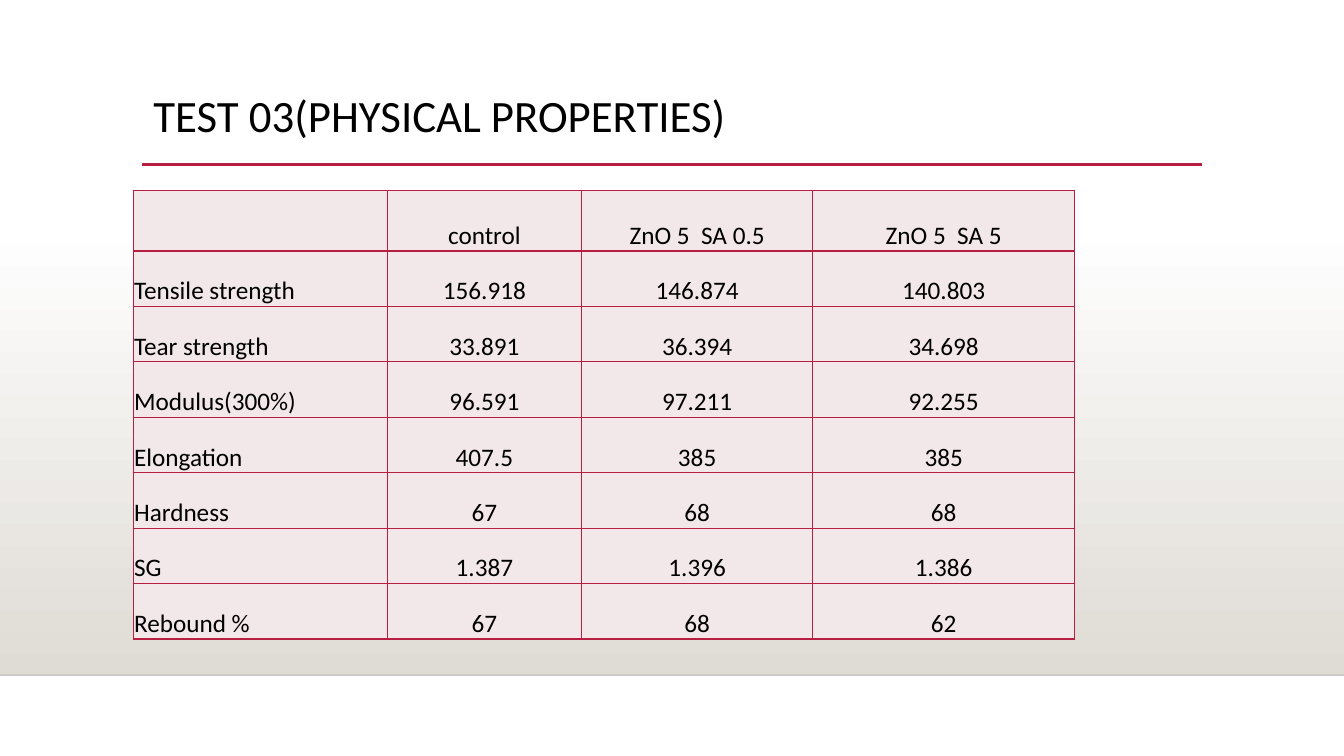
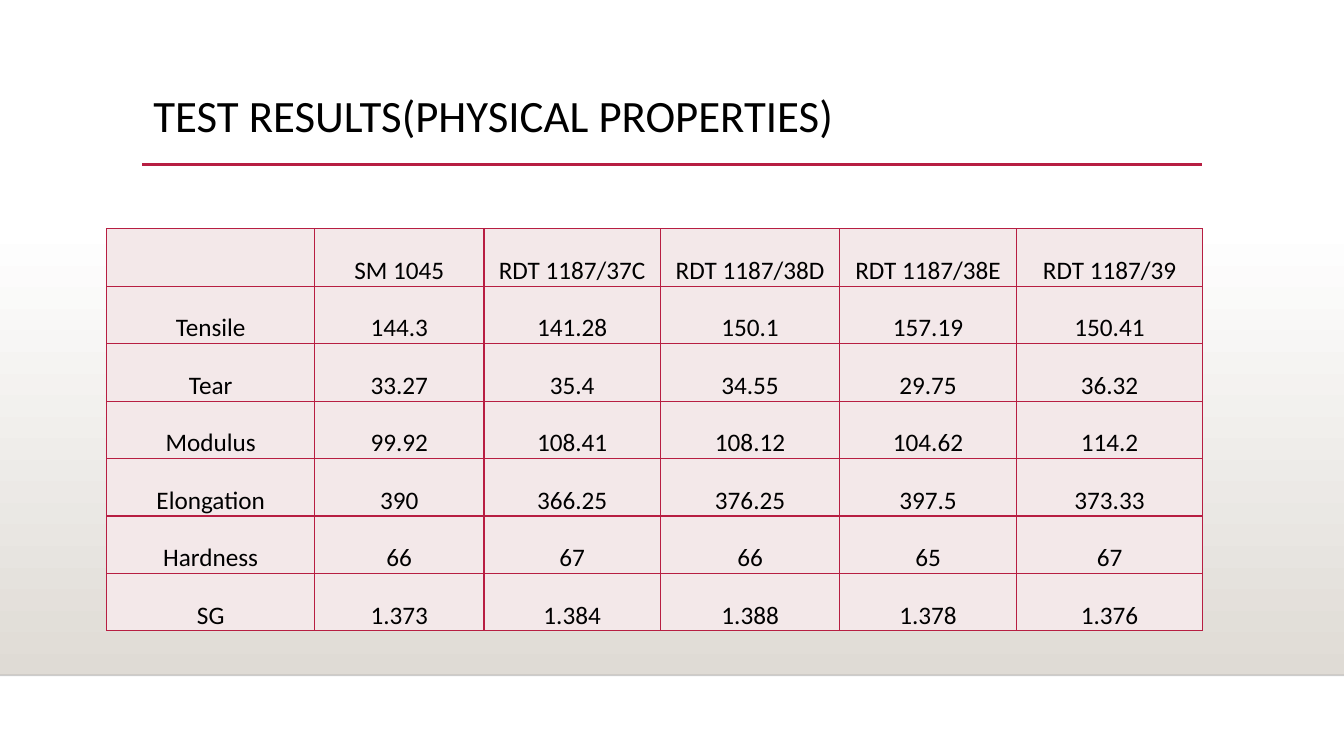
from pptx import Presentation
from pptx.dml.color import RGBColor
from pptx.enum.shapes import MSO_CONNECTOR, MSO_SHAPE
from pptx.enum.text import MSO_ANCHOR, MSO_AUTO_SIZE, PP_ALIGN
from pptx.oxml.ns import qn
from pptx.util import Inches, Pt
from lxml.etree import SubElement

COLORS = {"accent": "B71E42", "cell": "F3E8E9", "text": "000000",
          "white": "FFFFFF", "sand": "DFDBD5", "edge": "000001"}
FONT = "Calibri"
PROPERTIES = [
    ["", "control", "ZnO 5  SA 0.5", "ZnO 5  SA 5"],
    ["Tensile strength", "156.918", "146.874", "140.803"],
    ["Tear strength", "33.891", "36.394", "34.698"],
    ["Modulus(300%)", "96.591", "97.211", "92.255"],
    ["Elongation", "407.5", "385", "385"],
    ["Hardness", "67", "68", "68"],
    ["SG", "1.387", "1.396", "1.386"],
    ["Rebound %", "67", "68", "62"],
]
RESULTS = [
    ["", "SM 1045", "RDT 1187/37C", "RDT 1187/38D", "RDT 1187/38E", "RDT 1187/39"],
    ["Tensile", "144.3", "141.28", "150.1", "157.19", "150.41"],
    ["Tear", "33.27", "35.4", "34.55", "29.75", "36.32"],
    ["Modulus", "99.92", "108.41", "108.12", "104.62", "114.2"],
    ["Elongation", "390", "366.25", "376.25", "397.5", "373.33"],
    ["Hardness", "66", "67", "66", "65", "67"],
    ["SG", "1.373", "1.384", "1.388", "1.378", "1.376"],
]


def rgb(name):
    """Return a palette colour."""
    return RGBColor.from_string(COLORS[name])


def style_paragraph(p, size, align):
    """Apply the shared font and an alignment."""
    p.alignment = align
    p.font.name = FONT
    p.font.size = Pt(size)
    p.font.color.rgb = rgb("text")


def add_rule(s, left, right, y, color, width, alpha=None):
    """Draw a horizontal line, optionally translucent."""
    line = s.shapes.add_connector(MSO_CONNECTOR.STRAIGHT, Inches(left), Inches(y),
                                  Inches(right), Inches(y))
    line.line.color.rgb = rgb(color)
    line.line.width = Pt(width)
    sp_pr = line._element.spPr
    if alpha is not None:
        SubElement(next(sp_pr.iter(qn("a:srgbClr"))), qn("a:alpha"), val=str(alpha * 1000))
    SubElement(sp_pr, qn("a:effectLst"))


def add_band(s):
    """Draw the band that fades from white to sand."""
    sp = s.shapes.add_shape(MSO_SHAPE.RECTANGLE, 0, Inches(2.21), Inches(13.33), Inches(4.49))
    sp.shadow.inherit = False
    sp.line.fill.background()
    sp.fill.gradient()
    sp.fill.gradient_angle = 270
    for stop, name, pos in zip(sp.fill.gradient_stops, ("white", "sand"), (0, 1)):
        stop.color.rgb = rgb(name)
        stop.position = pos


def add_title_slide(prs, title):
    """Add a slide with the shared band, rules and title."""
    s = prs.slides.add_slide(prs.slide_layouts[5])
    add_band(s)
    add_rule(s, 0, 13.33, 6.7, "edge", 1, alpha=20)
    add_rule(s, 1.41, 11.92, 1.63, "accent", 2.5)
    sp = s.shapes.title
    sp.left, sp.top, sp.width, sp.height = map(Inches, (1.42, 0.88, 10.5, 1.15))
    tf = sp.text_frame
    tf.text = title
    tf.auto_size = MSO_AUTO_SIZE.NONE
    tf.vertical_anchor = MSO_ANCHOR.TOP
    p = tf.paragraphs[0]
    p.line_spacing = 0.9
    style_paragraph(p, 32, PP_ALIGN.LEFT)
    return s


def set_borders(cell):
    """Give a cell a one-point accent border on every side."""
    tc_pr = cell._tc.get_or_add_tcPr()
    for side in ("a:lnL", "a:lnR", "a:lnT", "a:lnB"):
        ln = SubElement(tc_pr, qn(side), w=str(Pt(1)))
        fill = SubElement(ln, qn("a:solidFill"))
        SubElement(fill, qn("a:srgbClr"), val=COLORS["accent"])


def fill_cell(cell, text, align):
    """Write and format one table cell."""
    set_borders(cell)
    cell.fill.solid()
    cell.fill.fore_color.rgb = rgb("cell")
    cell.margin_left = cell.margin_right = cell.margin_top = Inches(0.01)
    cell.margin_bottom = 0
    cell.vertical_anchor = MSO_ANCHOR.BOTTOM
    cell.text = text
    style_paragraph(cell.text_frame.paragraphs[0], 18, align)


def add_data_table(s, data, left, top, widths, heights, label_align):
    """Add a table whose first column holds the row labels."""
    frame = s.shapes.add_table(len(data), len(widths), Inches(left), Inches(top),
                               Inches(sum(widths)), Inches(sum(heights)))
    table = frame.table
    table.first_row = table.horz_banding = False
    for col, width in zip(table.columns, widths):
        col.width = Inches(width)
    for row, height, values in zip(table.rows, heights, data):
        row.height = Inches(height)
        for i, (cell, text) in enumerate(zip(row.cells, values)):
            fill_cell(cell, text, PP_ALIGN.CENTER if i else label_align)


def main():
    """Build both result slides."""
    prs = Presentation()
    prs.slide_width, prs.slide_height = Inches(13.33), Inches(7.5)
    s = add_title_slide(prs, "TEST 03(PHYSICAL PROPERTIES)")
    add_data_table(s, PROPERTIES, 1.32, 1.89, [2.52, 1.93, 2.29, 2.6],
                   [0.6] + [0.55] * 7, PP_ALIGN.LEFT)
    s = add_title_slide(prs, "TEST RESULTS(PHYSICAL PROPERTIES)")
    add_data_table(s, RESULTS, 1.06, 2.27, [2.06, 1.68, 1.75, 1.78, 1.75, 1.85],
                   [0.57] * 7, PP_ALIGN.CENTER)
    prs.save("out.pptx")


if __name__ == "__main__":
    main()
